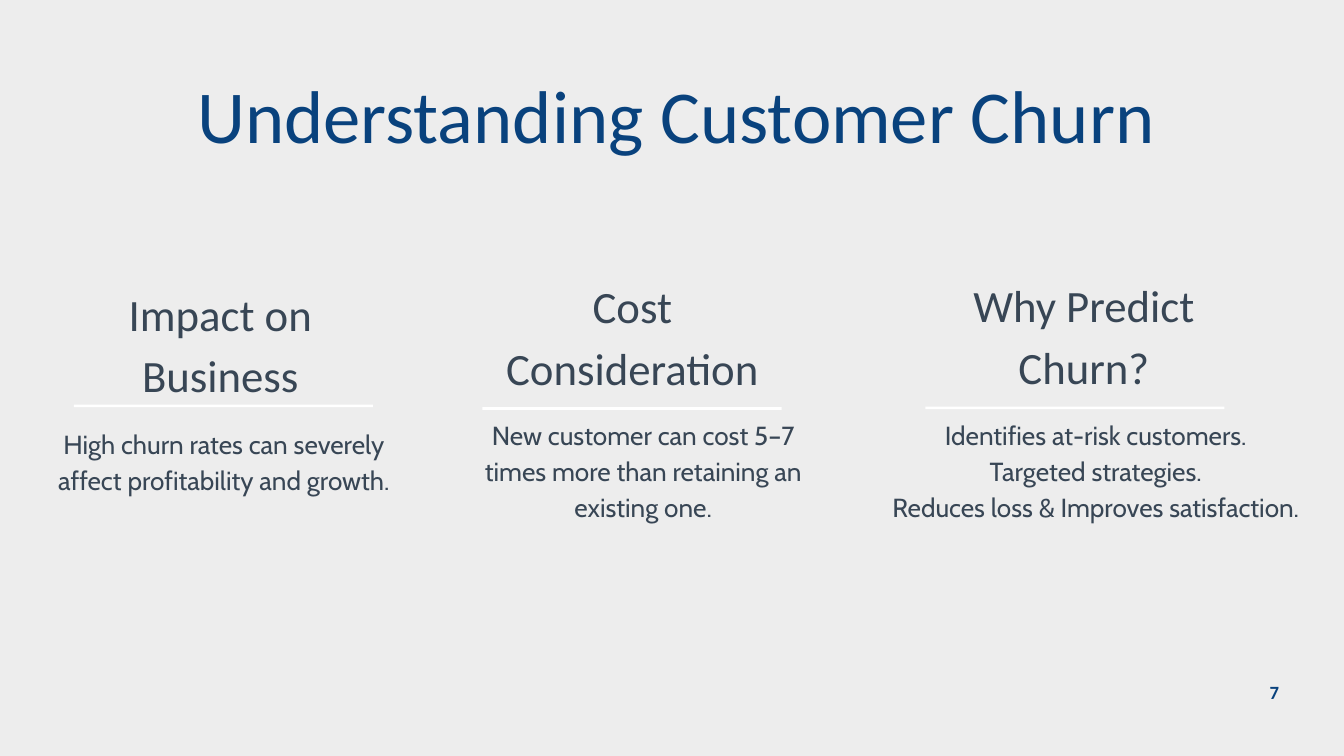
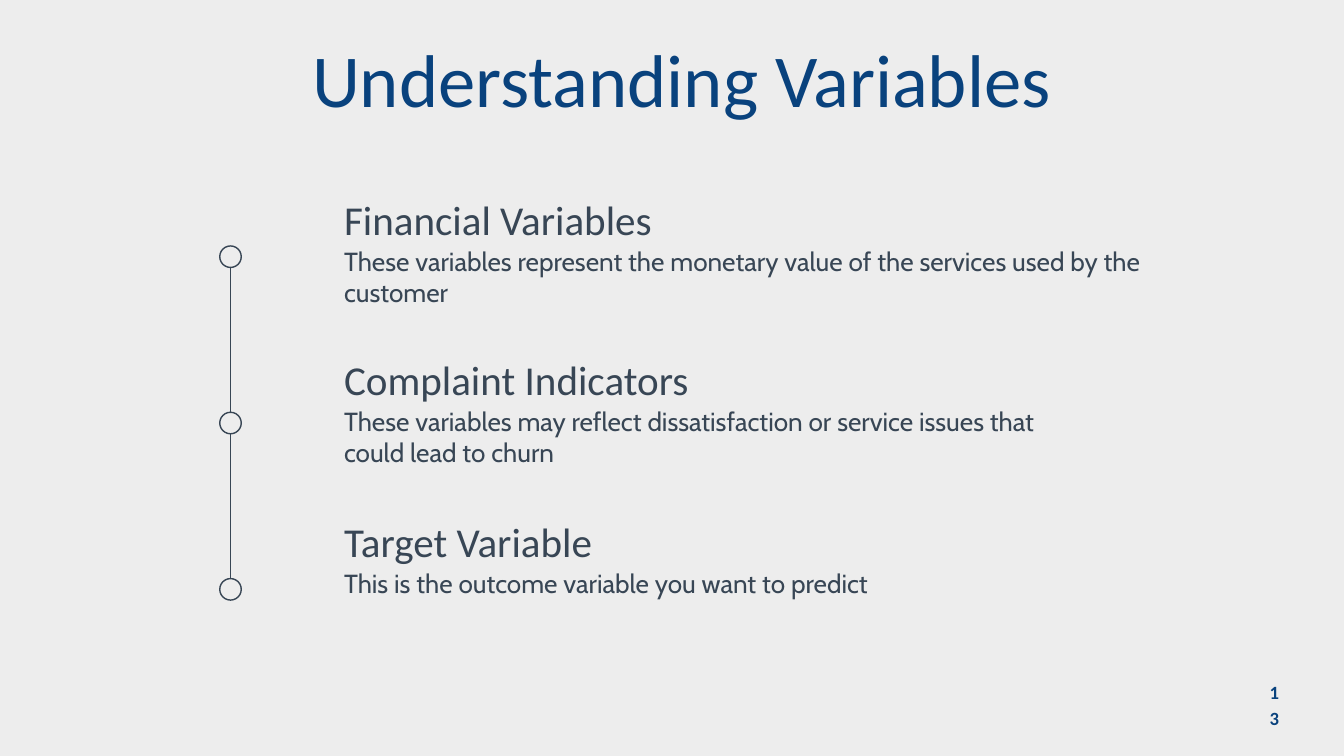
from pptx import Presentation
from pptx.dml.color import RGBColor
from pptx.enum.shapes import MSO_CONNECTOR, MSO_SHAPE
from pptx.enum.text import MSO_ANCHOR, MSO_AUTO_SIZE, PP_ALIGN
from pptx.oxml.ns import qn
from pptx.util import Inches, Pt

TOP = MSO_ANCHOR.TOP
GROW = MSO_AUTO_SIZE.SHAPE_TO_FIT_TEXT
CENTER, LEFT = PP_ALIGN.CENTER, PP_ALIGN.LEFT
OVAL, RECTANGLE = MSO_SHAPE.OVAL, MSO_SHAPE.RECTANGLE
STRAIGHT = MSO_CONNECTOR.STRAIGHT

BACKGROUND, NAVY, SLATE, WHITE = "EDEDED", "09427D", "384655", "FFFFFF"

# Text styles: font, size, colour, bold, alignment, line spacing
TITLE = ("Calibri", 80, NAVY, False, CENTER, 88)
NUMBER = ("Calibri", 20, NAVY, True, CENTER, 28)
COLUMN_HEADING = ("Calibri", 48, SLATE, False, CENTER, 66.2)
COLUMN_BODY = ("Cabin", 28, SLATE, False, CENTER, 38.6)
ITEM_HEADING = ("Calibri", 44, SLATE, False, LEFT, 52.8)
ITEM_BODY = ("Cabin", 28, SLATE, False, LEFT, 33.6)


def color(value):
    return RGBColor.from_string(value)


def write(page, text, place, style, box=None):
    """Fill a new text box, or the given one, with one paragraph per line."""
    left, top, width, height = [Inches(length) for length in place]
    box = box or page.shapes.add_textbox(left, top, width, height)
    box.left, box.top, box.width, box.height = left, top, width, height
    frame = box.text_frame
    frame_format = {"margin_left": 0, "margin_top": 0, "margin_right": 0, "margin_bottom": 0,
                    "word_wrap": True, "auto_size": GROW, "vertical_anchor": TOP}
    for name, value in frame_format.items():
        setattr(frame, name, value)
    font_name, size, text_color, bold, alignment, spacing = style
    frame.text = text
    for para in frame.paragraphs:
        para.alignment = alignment
        para.line_spacing = Pt(spacing)
        for span in para.runs:
            for name, value in {"name": font_name, "size": Pt(size), "bold": bold}.items():
                setattr(span.font, name, value)
            span.font.color.rgb = color(text_color)


deck = Presentation()
deck.slide_width, deck.slide_height = Inches(20), Inches(11.25)
backdrop = deck.slide_master.background.fill
backdrop.solid()
backdrop.fore_color.rgb = color(BACKGROUND)

# Titles and page numbers
pages = []
for title, number, left, top in [
    ("Understanding Customer Churn", "7", 1.26, 1.13),
    ("Understanding Variables", "13", 1.34, 0.6),
]:
    page = deck.slides.add_slide(deck.slide_layouts[5])
    write(page, title, (left, top, 17.61, 1.32), TITLE, page.shapes.title)
    write(page, number, (18.88, 10.07, 0.17, 0.22), NUMBER)
    pages.append(page)
churn_page, variables_page = pages

# Customer churn: three columns, each a heading, a white rule and a body
columns = [
    ("Impact on Business", (1.1, 4.14, 4.36, 1.86), (1.1, 6.02),
     "High churn rates can severely affect profitability and growth.",
     (0.68, 6.3, 5.3, 1.58)),
    ("Cost Consideration", (7.01, 4.03, 4.8, 1.86), (7.18, 6.06),
     "New customer can cost 5–7 times more than retaining an existing one.",
     (7.01, 6.17, 5.12, 2.11)),
    ("Why Predict Churn?", (13.73, 4.02, 4.8, 1.86), (13.77, 6.05),
     "Identifies at-risk customers.\nTargeted strategies.\n"
     "Reduces loss & Improves satisfaction.",
     (13.15, 6.17, 6.31, 2.11)),
]
for heading, heading_place, (left, top), body, body_place in columns:
    write(churn_page, body, body_place, COLUMN_BODY)
    write(churn_page, heading, heading_place, COLUMN_HEADING)
    rule = churn_page.shapes.add_shape(
        RECTANGLE, Inches(left), Inches(top), Inches(4.45), Inches(0.04))
    rule.shadow.inherit = False
    rule.fill.solid()
    rule.fill.fore_color.rgb = color(WHITE)
    rule.line.fill.background()

# Variables: headings with their descriptions
items = [
    ("Financial Variables", 2.9, 7.31, 11.92, 0.92,
     "These variables represent the monetary value of the services used by the customer"),
    ("Complaint Indicators", 5.28, 7.62, 10.57, 0.92,
     "These variables may reflect dissatisfaction or service issues that could lead to churn"),
    ("Target Variable", 7.69, 9.07, 10.74, 0.46,
     "This is the outcome variable you want to predict"),
]
for heading, top, heading_width, body_width, body_height, body in items:
    write(variables_page, body, (5.12, top + 0.75, body_width, body_height), ITEM_BODY)
    write(variables_page, heading, (5.12, top, heading_width, 0.76), ITEM_HEADING)

# Timeline: evenly spaced rings joined by lines
AXIS, FIRST_RING, RING_STEP, RADIUS = 3.43, 3.82, 2.475, 0.16
for index in range(len(items)):
    middle = FIRST_RING + index * RING_STEP
    ring = variables_page.shapes.add_shape(
        OVAL, Inches(AXIS - RADIUS), Inches(middle - RADIUS),
        Inches(2 * RADIUS), Inches(2 * RADIUS))
    ring.shadow.inherit = False
    ring.fill.background()
    ring.line.color.rgb = color(SLATE)
    ring.line.width = Pt(1.5)
    if index < len(items) - 1:
        link = variables_page.shapes.add_connector(
            STRAIGHT, Inches(AXIS), Inches(middle + RADIUS),
            Inches(AXIS), Inches(middle + RING_STEP - RADIUS))
        link.line.color.rgb = color(SLATE)
        link.line.width = Pt(0.75)
        properties = link.element.spPr
        properties.append(properties.makeelement(qn("a:effectLst"), {}))

deck.save("out.pptx")
